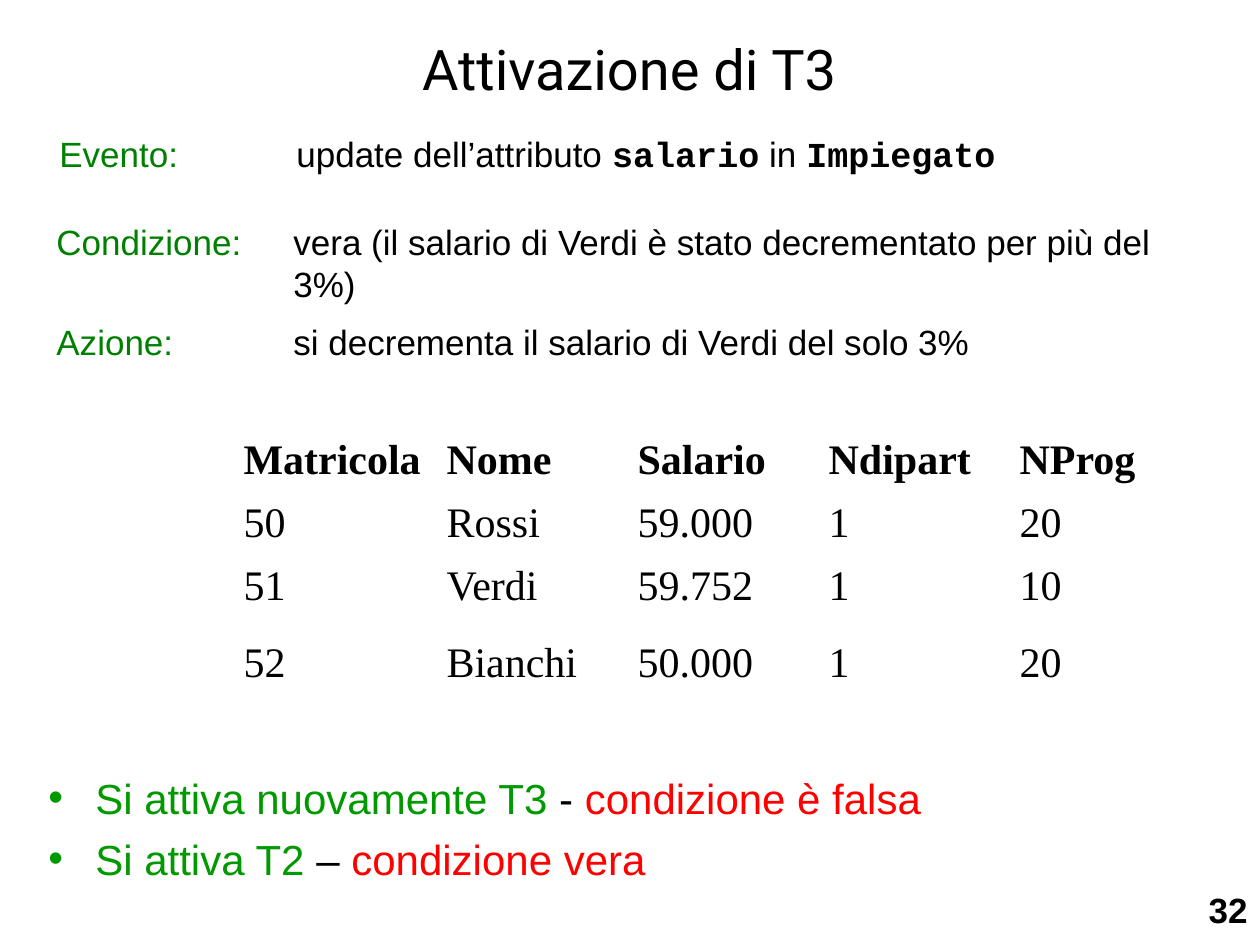
from lxml import etree
from pptx import Presentation
from pptx.dml.color import RGBColor
from pptx.enum.text import MSO_ANCHOR, PP_ALIGN
from pptx.oxml.ns import qn
from pptx.util import Pt

PX = 914400 / 126
BLACK, WHITE, RED = "000000", "FFFFFF", "FF0000"
LABEL_GREEN, BULLET_GREEN = "008000", "009900"
SANS, SERIF, MONO = "Arial", "Times New Roman", "Courier New"

RECORDS = [
    ("Matricola", "Nome", "Salario", "Ndipart", "NProg"),
    ("50", "Rossi", "59.000", "1", "20"),
    ("51", "Verdi", "59.752", "1", "10"),
    ("52", "Bianchi", "50.000", "1", "20"),
]


def px(length):
    return round(length * PX)


def rgb(color):
    return RGBColor.from_string(color)


def style(font, size=None, name=None, color=None, bold=None):
    if size:
        font.size = Pt(size)
    if name:
        font.name = name
    if color:
        font.color.rgb = rgb(color)
    if bold is not None:
        font.bold = bold


def add_text_frame(slide, left, top, width, height):
    frame = slide.shapes.add_textbox(px(left), px(top), px(width), px(height)).text_frame
    frame.word_wrap = True
    return frame


def add_line(slide, box, text, size, name, align, bold=False):
    frame = add_text_frame(slide, *box)
    frame.vertical_anchor = MSO_ANCHOR.MIDDLE if align == PP_ALIGN.CENTER else MSO_ANCHOR.TOP
    line = frame.paragraphs[0]
    line.text = text
    line.alignment = align
    style(line.font, size, name, BLACK, bold)


def add_runs(paragraph, runs):
    for text, options in runs:
        run = paragraph.add_run()
        run.text = text
        style(run.font, **options)


def set_hanging(paragraph, indent):
    properties = paragraph._p.get_or_add_pPr()
    properties.set("marL", str(px(indent)))
    properties.set("indent", str(-px(indent)))
    return properties


def add_rule_part(slide, box, label, runs):
    """A green label, then its description on a hanging indent."""
    paragraph = add_text_frame(slide, *box).paragraphs[0]
    properties = set_hanging(paragraph, 237)
    tabs = etree.SubElement(properties, qn("a:tabLst"))
    for inch in (0, *range(2, 9)):
        etree.SubElement(tabs, qn("a:tab"), pos=str(inch * 914400), algn="l")
    style(paragraph.font, size=20)
    add_runs(paragraph, [(f"{label}: \t", {"name": SANS, "color": LABEL_GREEN})])
    add_runs(paragraph, [(text, {"color": BLACK, **options}) for text, options in runs])


def add_bullet(paragraph, activation, dash, outcome):
    properties = set_hanging(paragraph, 47)
    bullet_color = etree.SubElement(properties, qn("a:buClr"))
    etree.SubElement(bullet_color, qn("a:srgbClr"), val=BULLET_GREEN)
    etree.SubElement(properties, qn("a:buFont"), typeface=SANS)
    etree.SubElement(properties, qn("a:buChar"), char="•")
    style(paragraph.font, size=24, name=SANS)
    add_runs(paragraph, [
        (activation, {"color": BULLET_GREEN}),
        (dash, {"color": BLACK}),
        (outcome, {"color": RED}),
    ])


def set_borders(cell):
    properties = cell._tc.get_or_add_tcPr()
    for position, side in enumerate(("lnL", "lnR", "lnT", "lnB")):
        border = etree.Element(qn(f"a:{side}"), w=str(Pt(0.45)))
        fill = etree.SubElement(border, qn("a:solidFill"))
        etree.SubElement(fill, qn("a:srgbClr"), val=WHITE)
        properties.insert(position, border)


def add_employee_table(slide):
    widths, heights = [203] + [191] * 4, [63, 63, 77, 77]
    table = slide.shapes.add_table(len(heights), len(widths), px(231), px(431),
                                   px(sum(widths)), px(sum(heights))).table
    table.first_row = table.horz_banding = False
    for column, width in zip(table.columns, widths):
        column.width = px(width)
    for row_index, (row, height, record) in enumerate(zip(table.rows, heights, RECORDS)):
        row.height = px(height)
        for cell, value in zip(row.cells, record):
            cell.text = value
            cell.fill.background()
            set_borders(cell)
            style(cell.text_frame.paragraphs[0].font, 24, SERIF, BLACK, row_index == 0)


def main():
    presentation = Presentation()
    presentation.slide_width, presentation.slide_height = px(1260), px(945)
    slide = presentation.slides.add_slide(presentation.slide_layouts[6])

    # Title
    add_line(slide, (36, 32, 1187, 73), "Attivazione di T3", 32, "Roboto", PP_ALIGN.CENTER)

    # Event, condition and action of the trigger
    plain, code = {"name": SANS}, {"name": MONO, "bold": True}
    add_rule_part(slide, (47, 126, 1171, 73), "Evento", [
        ("update dell’attributo ", plain), ("salario", code),
        (" in ", plain), ("Impiegato", code)])
    add_rule_part(slide, (44, 214, 1160, 73), "Condizione", [
        ("vera (il salario di Verdi è stato decrementato per più del 3%)", plain)])
    add_rule_part(slide, (44, 314, 1160, 73), "Azione", [
        ("si decrementa il salario di Verdi del solo 3%", plain)])

    # Employees after the action
    add_employee_table(slide)

    # Triggers activated next
    activations = add_text_frame(slide, 36, 766, 1187, 116)
    add_bullet(activations.paragraphs[0], "Si attiva nuovamente T3", " - ", "condizione è falsa")
    second = activations.add_paragraph()
    second.space_before = Pt(6)
    add_bullet(second, "Si attiva T2", " – ", "condizione vera")

    # Slide number
    add_line(slide, (1176, 882, 84, 63), "32", 20, SANS, PP_ALIGN.RIGHT, bold=True)

    presentation.save("out.pptx")


if __name__ == "__main__":
    main()
